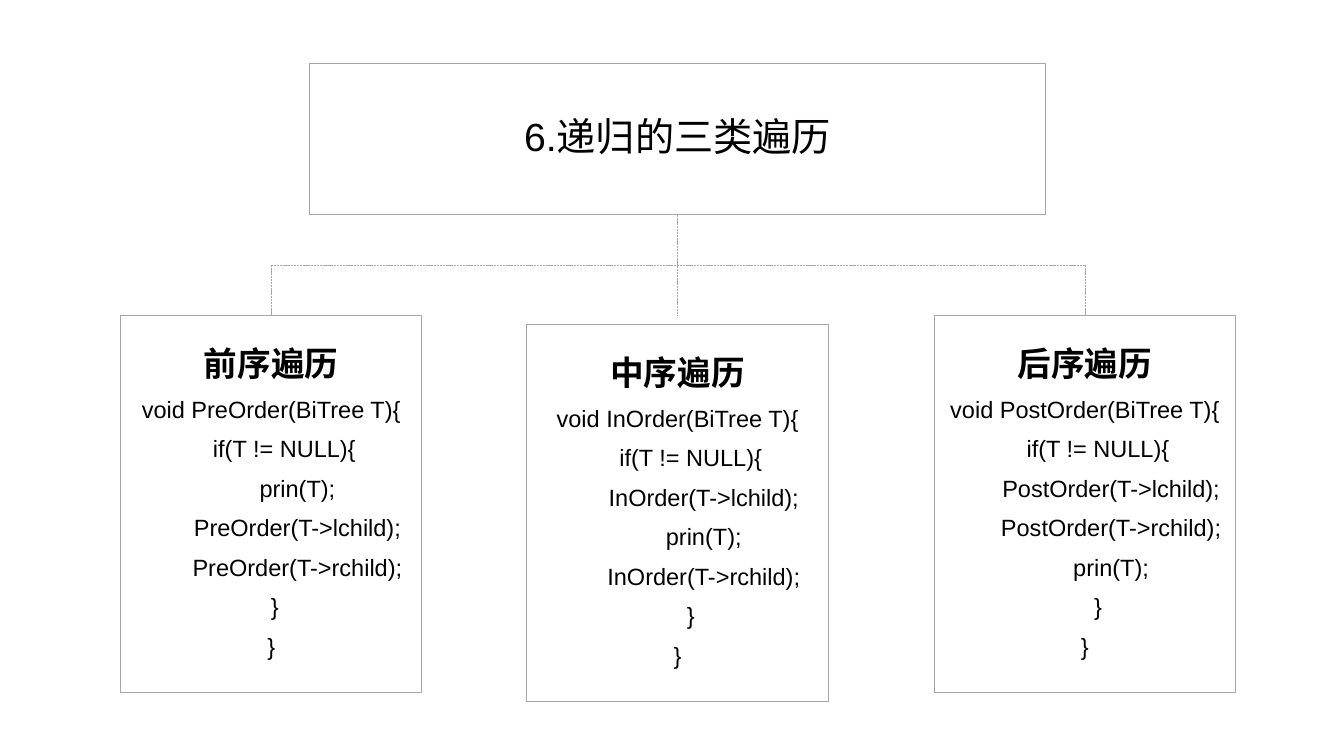
from pptx import Presentation
from pptx.dml.color import RGBColor
from pptx.enum.dml import MSO_LINE
from pptx.enum.shapes import MSO_CONNECTOR, MSO_SHAPE
from pptx.enum.text import MSO_ANCHOR, MSO_AUTO_SIZE, PP_ALIGN
from pptx.oxml.ns import qn
from pptx.util import Inches, Pt
from lxml import etree

STRAIGHT = MSO_CONNECTOR.STRAIGHT
RECTANGLE = MSO_SHAPE.RECTANGLE
DASH = MSO_LINE.SQUARE_DOT
MIDDLE = MSO_ANCHOR.MIDDLE
NO_FIT = MSO_AUTO_SIZE.NONE
CENTER = PP_ALIGN.CENTER

COLORS = {"line": "A6A6A6", "text": "000000"}
FONT = "Arial"
INDENT = 0.26
CARD_WIDTH, CARD_HEIGHT = 2.99, 3.74
CENTERS = [2.69, 6.72, 10.76]
TITLE_BOTTOM, BRANCH_Y, CARD_TOP = 2.13, 2.63, 3.13

TRAVERSALS = [
    ("前序遍历", "PreOrder", CARD_TOP, 0.07,
     ["prin(T);", "PreOrder(T->lchild);", "PreOrder(T->rchild);"]),
    ("中序遍历", "InOrder", 3.22, INDENT,
     ["InOrder(T->lchild);", "prin(T);", "InOrder(T->rchild);"]),
    ("后序遍历", "PostOrder", CARD_TOP, INDENT,
     ["PostOrder(T->lchild);", "PostOrder(T->rchild);", "prin(T);"]),
]


def frame_box(shape):
    shape.fill.background()
    shape.line.color.rgb = RGBColor.from_string(COLORS["line"])
    shape.line.width = Pt(0.75)
    text_frame = shape.text_frame
    text_frame.word_wrap = True
    text_frame.auto_size = NO_FIT
    text_frame.vertical_anchor = MIDDLE
    return text_frame


def write_line(paragraph, text, size, bold=False, indent=0):
    paragraph.alignment = CENTER
    paragraph.line_spacing = 0.9
    paragraph.space_before = Pt(10)
    if indent:
        paragraph._p.get_or_add_pPr().set("marL", str(Inches(indent)))
    run = paragraph.add_run()
    run.text = text
    run.font.name = FONT
    run.font.size = Pt(size)
    run.font.bold = bold
    run.font.color.rgb = RGBColor.from_string(COLORS["text"])


presentation = Presentation()
presentation.slide_width = Inches(13.33)
presentation.slide_height = Inches(7.5)
slide = presentation.slides.add_slide(presentation.slide_layouts[5])

left, middle, right = CENTERS
branches = [
    (left, BRANCH_Y, right, BRANCH_Y),
    (middle, TITLE_BOTTOM, middle, CARD_TOP),
    (left, CARD_TOP, left, BRANCH_Y),
    (right, CARD_TOP, right, BRANCH_Y),
]
for branch in branches:
    connector = slide.shapes.add_connector(STRAIGHT, *map(Inches, branch))
    connector.line.color.rgb = RGBColor.from_string(COLORS["line"])
    connector.line.width = Pt(0.5)
    connector.line.dash_style = DASH
    etree.SubElement(connector._element.spPr, qn("a:effectLst"))

title = slide.shapes.title
title.left, title.top = Inches(3.07), Inches(0.63)
title.width, title.height = Inches(7.3), Inches(1.5)
write_line(frame_box(title).paragraphs[0], "6.递归的三类遍历", 28)

for center, (heading, function, top, brace_indent, steps) in zip(CENTERS, TRAVERSALS):
    card = slide.shapes.add_shape(
        RECTANGLE, Inches(center - CARD_WIDTH / 2), Inches(top),
        Inches(CARD_WIDTH), Inches(CARD_HEIGHT))
    card.shadow.inherit = False
    text_frame = frame_box(card)
    write_line(text_frame.paragraphs[0], heading, 24, bold=True)
    code = [(f"void {function}(BiTree T){{", 0), ("if(T != NULL){", INDENT)]
    code += [(step, 2 * INDENT) for step in steps]
    code += [("}", brace_indent), ("}", 0)]
    for text, indent in code:
        write_line(text_frame.add_paragraph(), text, 16.8, indent=indent)

presentation.save("out.pptx")
